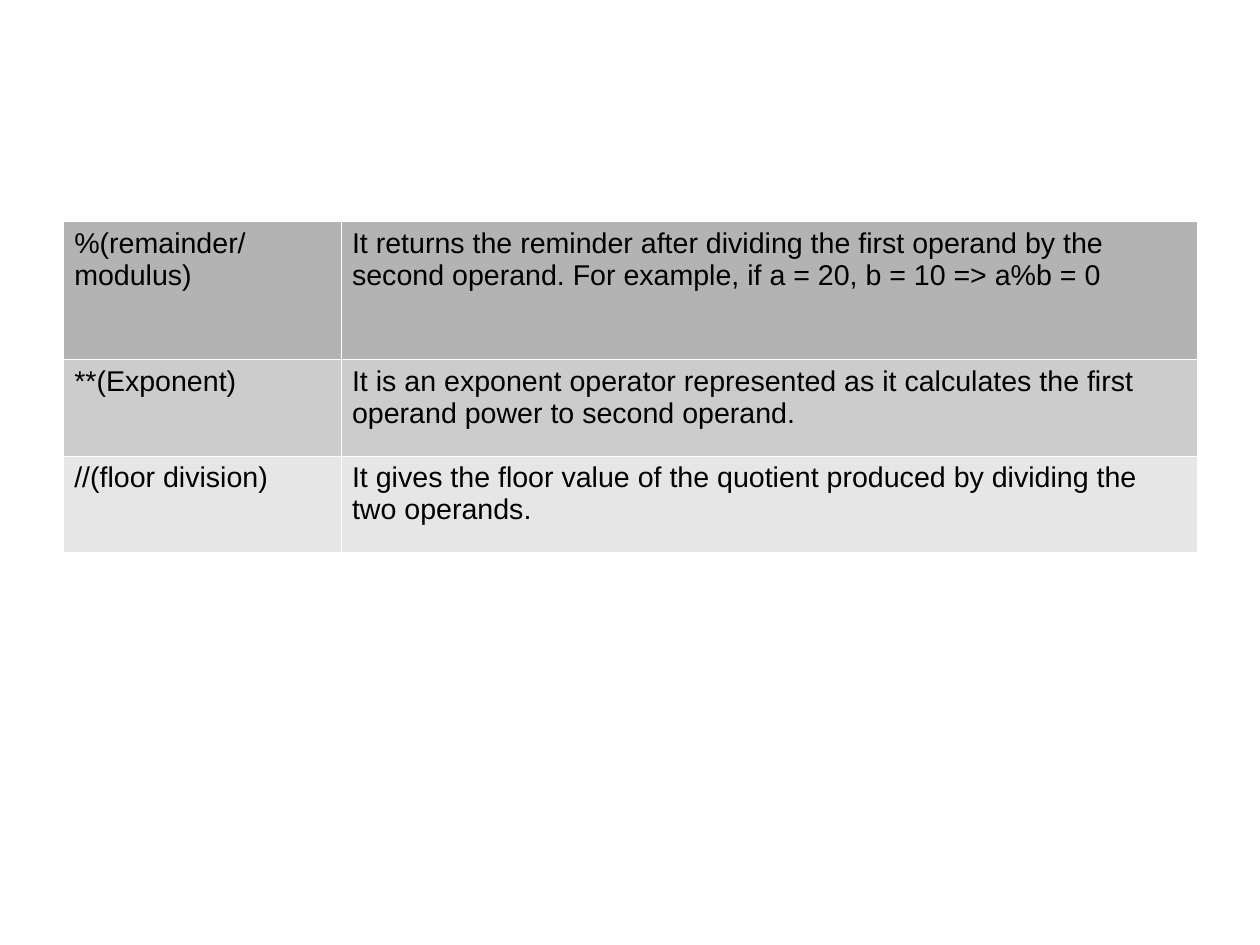
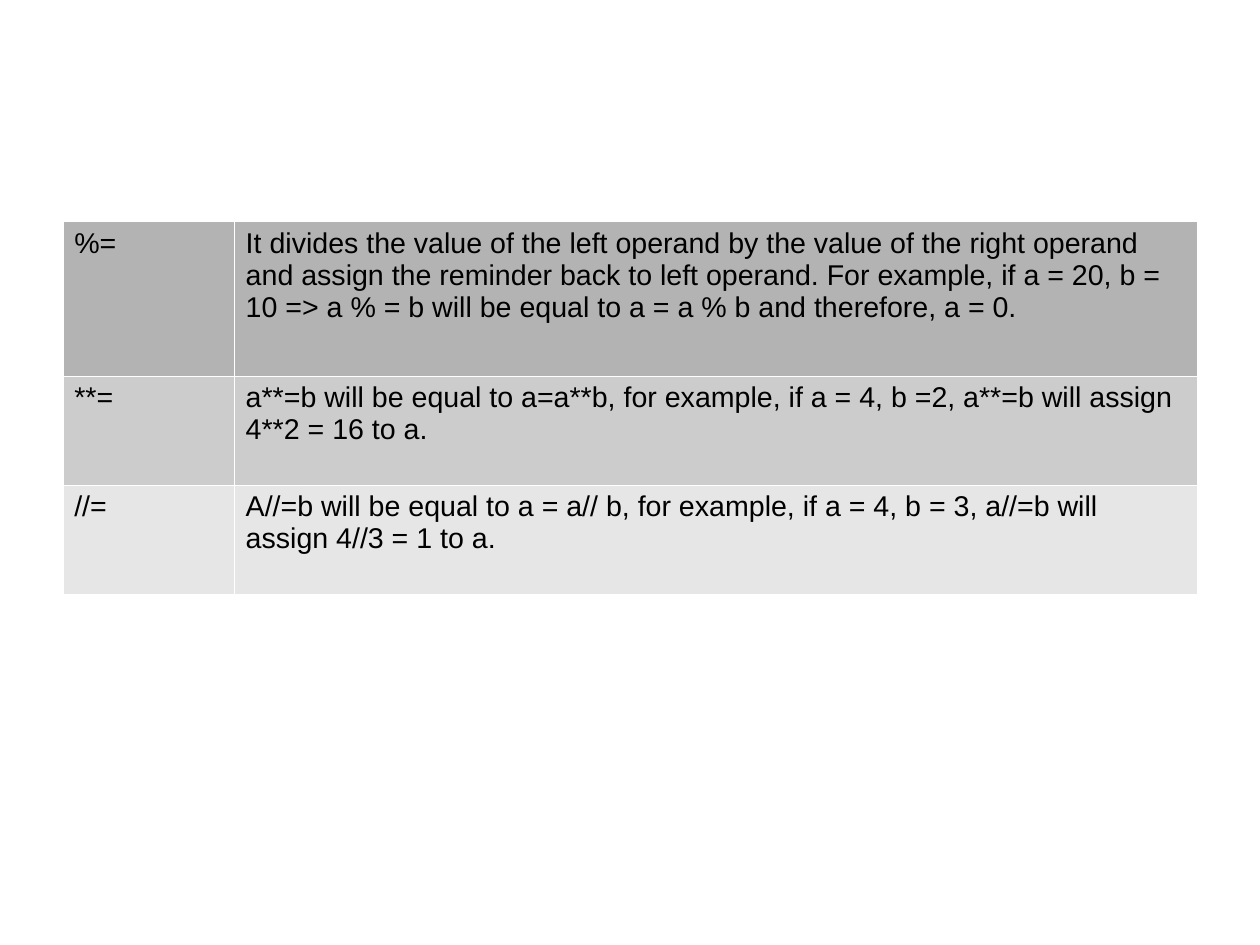
import lxml.etree
import pptx
import pptx.dml.color
import pptx.oxml.ns
import pptx.util

Pt = pptx.util.Pt
SLIDE_W, SLIDE_H = 793.7, 595.28
LEFT, TOP, WIDTH = 39.6, 139.5, 714.2
ROW_FILLS = ["B3B3B3", "CCCCCC", "E6E6E6"]
BORDER_COLOR, BORDER_WIDTH = "FFFFFF", 0.06
TEXT_COLOR = "000000"
TEXT_FORMAT = {"name": "Arial", "size": Pt(18), "bold": False}
TABLE_FORMAT = {"first_row": False, "horz_banding": False}

ARITHMETIC_ROWS = [
    ("%(remainder/modulus)",
     "It returns the reminder after dividing the first operand by the second operand. "
     "For example, if a = 20, b = 10 => a%b = 0"),
    ("**(Exponent)",
     "It is an exponent operator represented as it calculates the first operand power "
     "to second operand."),
    ("//(floor division)",
     "It gives the floor value of the quotient produced by dividing the two operands."),
]
ASSIGNMENT_ROWS = [
    ("%=",
     "It divides the value of the left operand by the value of the right operand and "
     "assign the reminder back to left operand. For example, if a = 20, b = 10 => "
     "a % = b will be equal to a = a % b and therefore, a = 0."),
    ("**=",
     "a**=b will be equal to a=a**b, for example, if a = 4, b =2, a**=b will assign "
     "4**2 = 16 to a."),
    ("//=",
     "A//=b will be equal to a = a// b, for example, if a = 4, b = 3, a//=b will "
     "assign 4//3 = 1 to a."),
]


def rgb(color):
    """Return the colour object for a hex string."""
    return pptx.dml.color.RGBColor.from_string(color)


def apply(obj, values):
    """Set each attribute of an object from a dict."""
    for name, value in values.items():
        setattr(obj, name, value)


def add_borders(cell):
    """Draw a thin line on all four sides of a cell."""
    qn = pptx.oxml.ns.qn
    tc_pr = cell._tc.get_or_add_tcPr()
    for side in ("a:lnL", "a:lnR", "a:lnT", "a:lnB"):
        ln = lxml.etree.SubElement(tc_pr, qn(side), w=str(Pt(BORDER_WIDTH)))
        fill = lxml.etree.SubElement(ln, qn("a:solidFill"))
        lxml.etree.SubElement(fill, qn("a:srgbClr"), val=BORDER_COLOR)


def fill_cell(cell, text, color):
    """Give a cell its borders, fill and text."""
    add_borders(cell)
    cell.fill.solid()
    cell.fill.fore_color.rgb = rgb(color)
    r = cell.text_frame.paragraphs[0].add_run()
    r.text = text
    apply(r.font, TEXT_FORMAT)
    r.font.color.rgb = rgb(TEXT_COLOR)


def add_operator_slide(prs, rows, operator_width, heights):
    """Add a slide with a table of operators and their descriptions."""
    s = prs.slides.add_slide(prs.slide_layouts[6])
    widths = (operator_width, WIDTH - operator_width)
    table = s.shapes.add_table(len(rows), len(widths), Pt(LEFT), Pt(TOP),
                               Pt(WIDTH), Pt(sum(heights))).table
    apply(table, TABLE_FORMAT)
    for column, width in zip(table.columns, widths):
        column.width = Pt(width)
    for row, height, texts, color in zip(table.rows, heights, rows, ROW_FILLS):
        row.height = Pt(height)
        for cell, text in zip(row.cells, texts):
            fill_cell(cell, text, color)


def main():
    """Build the presentation and save it."""
    prs = pptx.Presentation()
    apply(prs, {"slide_width": Pt(SLIDE_W), "slide_height": Pt(SLIDE_H)})
    add_operator_slide(prs, ARITHMETIC_ROWS, 175, (87, 60.5, 60.5))
    add_operator_slide(prs, ASSIGNMENT_ROWS, 108, (97.5, 68.5, 68.5))
    prs.save("out.pptx")


if __name__ == "__main__":
    main()
